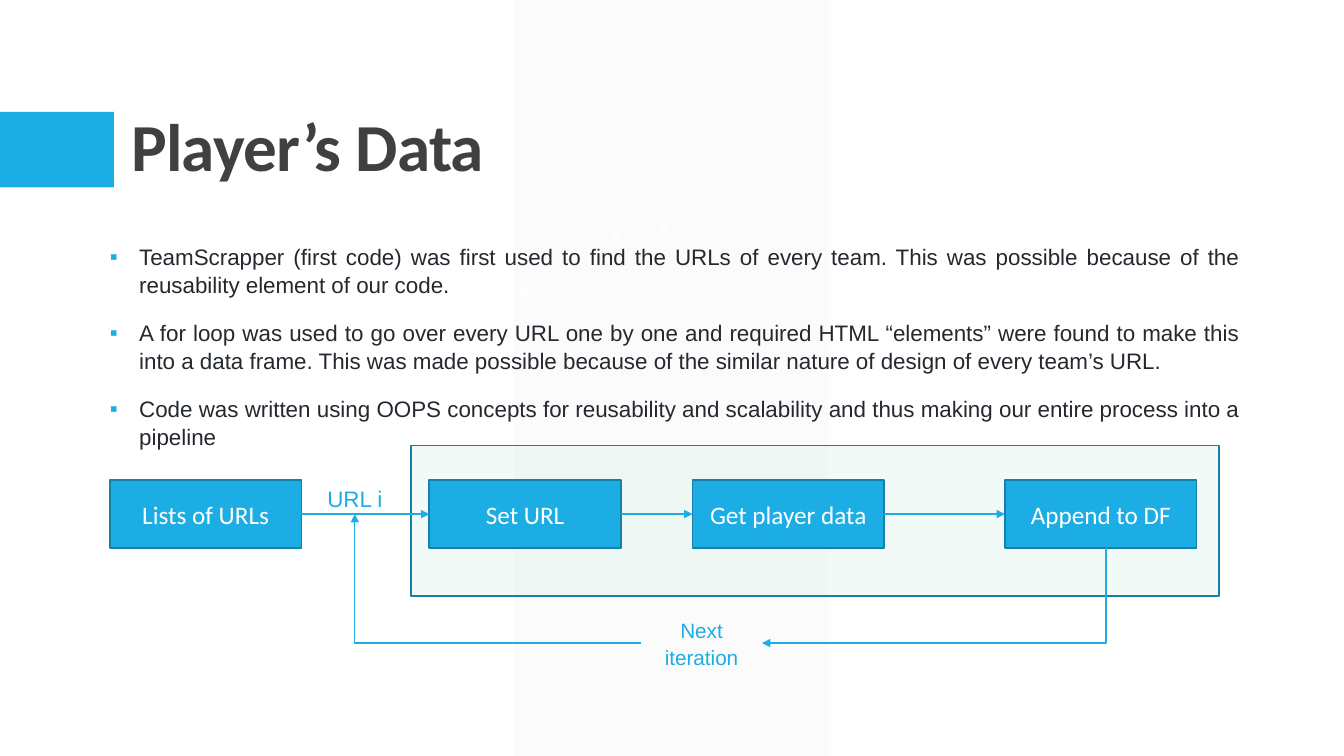
from itertools import pairwise

from lxml.etree import SubElement
from pptx import Presentation
from pptx.dml.color import RGBColor
from pptx.enum.shapes import MSO_CONNECTOR, MSO_SHAPE
from pptx.enum.text import MSO_ANCHOR, MSO_AUTO_SIZE, PP_ALIGN
from pptx.oxml.ns import qn
from pptx.util import Inches, Pt

W, H = Inches(13.333), Inches(7.5)
COLORS = {
    "accent": "1CADE4", "outline": "1580A9", "frame": "D9F1EA",
    "band": "F2F2F2", "white": "FFFFFF", "title": "404040", "body": "24292F",
}
BULLETS = [
    "TeamScrapper (first code) was first used to find the URLs of every team. "
    "This was possible because of the reusability element of our code.",
    "A for loop was used to go over every URL one by one and required HTML “elements” "
    "were found to make this into a data frame. This was made possible because of the "
    "similar nature of design of every team’s URL.",
    "Code was written using OOPS concepts for reusability and scalability and thus "
    "making our entire process into a pipeline",
]
# Positions and sizes below are percentages of the slide's width and height
STEPS = {"Lists of URLs": 8.18, "Set URL": 31.95, "Get player data": 51.53, "Append to DF": 74.78}
STEP_W, STEP_H, STEP_MID = 14.25, 8.93, 68
LOOP_Y, LOOP_ENTRY, LOOP_EXIT = 85.07, 26.4, 82.28
LABEL_W, LABEL_H = 9, 5.87
NEXT_X = 47.7
DOTS = [(45.53, 30.53), (49.13, 29.73), (38.7, 38), (57.45, 33.6), (49.88, 83.2)]

PARAGRAPH = {"line_spacing": 1.05, "space_before": Pt(12), "space_after": Pt(2)}


def scale(x, y):
    return round(W * x / 100), round(H * y / 100)


def rgb(name):
    return RGBColor.from_string(COLORS[name])


def apply(obj, formats):
    for name, value in formats.items():
        setattr(obj, name, value)


def place(sp, x, y, w, h):
    sp.left, sp.top = scale(x, y)
    sp.width, sp.height = scale(w, h)


def write(p, text, font, size, color, formats, bold=False):
    apply(p, formats)
    r = p.add_run()
    r.text = text
    apply(r.font, {"name": font, "size": Pt(size), "bold": bold})
    r.font.color.rgb = rgb(color)
    return r


def add_box(slide, x, y, w, h, fill, alpha=None, line=None, kind=MSO_SHAPE.RECTANGLE):
    sp = slide.shapes.add_shape(kind, *scale(x, y), *scale(w, h))
    sp.shadow.inherit = False
    sp.fill.solid()
    sp.fill.fore_color.rgb = rgb(fill)
    if alpha:
        clr = sp.element.spPr.find(qn("a:solidFill"))[0]
        SubElement(clr, qn("a:alpha"), val=str(alpha * 1000))
    if line:
        sp.line.color.rgb = rgb(line)
        sp.line.width = Pt(1.25)
    else:
        sp.line.fill.background()
    return sp


def add_step(slide, x, text):
    sp = add_box(slide, x, STEP_MID - STEP_H / 2, STEP_W, STEP_H, "accent", line="outline")
    tf = sp.text_frame
    tf.vertical_anchor = MSO_ANCHOR.MIDDLE
    write(tf.paragraphs[0], text, "Calibri", 18, "white", {"alignment": PP_ALIGN.CENTER})


def add_arrow(slide, start, end, bent=False, tip="a:tailEnd"):
    """A bent arrow leaves its start horizontally and reaches its end vertically."""
    kind = MSO_CONNECTOR.ELBOW if bent else MSO_CONNECTOR.STRAIGHT
    cxn = slide.shapes.add_connector(kind, *scale(*start), *scale(*end))
    cxn.line.color.rgb = rgb("accent")
    cxn.line.width = Pt(1)
    spPr = cxn.element.spPr
    if bent:
        spPr.find(qn("a:prstGeom")).set("prst", "bentConnector2")
    SubElement(spPr.find(qn("a:ln")), qn(tip), type="triangle")
    SubElement(spPr, qn("a:effectLst"))


def add_label(slide, x, mid, text, size):
    sp = slide.shapes.add_textbox(*scale(x, mid - LABEL_H / 2), *scale(LABEL_W, LABEL_H))
    tf = sp.text_frame
    apply(tf, {"word_wrap": True, "vertical_anchor": MSO_ANCHOR.MIDDLE,
               "margin_left": 0, "margin_right": 0})
    write(tf.paragraphs[0], text, "Arial", size, "accent",
          PARAGRAPH | {"alignment": PP_ALIGN.CENTER})


def set_bullet(p):
    pPr = p._p.get_or_add_pPr()
    pPr.set("marL", str(Inches(0.29)))
    pPr.set("indent", str(-Inches(0.29)))
    clr = SubElement(pPr, qn("a:buClr"))
    SubElement(clr, qn("a:srgbClr"), val=COLORS["accent"])
    SubElement(pPr, qn("a:buFont"), typeface="Arial")
    SubElement(pPr, qn("a:buChar"), char="▪")


def fill_title(title):
    place(title, 9, 4.13, 82.5, 21.2)
    tf = title.text_frame
    apply(tf, {"vertical_anchor": MSO_ANCHOR.BOTTOM, "auto_size": MSO_AUTO_SIZE.NONE})
    r = write(tf.paragraphs[0], "Player’s Data", "Calibri", 48, "title",
              {"alignment": PP_ALIGN.LEFT, "line_spacing": 0.9}, bold=True)
    r.font._element.set("spc", "-50")


def fill_body(body):
    place(body, 8.18, 31.33, 84.08, 26.93)
    tf = body.text_frame
    apply(tf, {"margin_left": 0, "margin_right": 0, "auto_size": MSO_AUTO_SIZE.NONE})
    for i, text in enumerate(BULLETS):
        p = tf.add_paragraph() if i else tf.paragraphs[0]
        write(p, text, "Arial", 16, "body", PARAGRAPH | {"alignment": PP_ALIGN.JUSTIFY})
        set_bullet(p)


def add_background(slide):
    """Decoration that lies behind the title and the list."""
    shapes = [
        add_box(slide, 38.25, 0, 23.4, 100, "band", alpha=30),
        add_box(slide, 0, 14.8, 8.48, 10, "accent"),
        add_box(slide, 30.6, 58.93, 60.08, 19.87, "frame", alpha=34, line="outline"),
    ]
    shapes += [add_box(slide, x, y, 0.75, 1.33, "white", alpha=50, kind=MSO_SHAPE.OVAL)
               for x, y in DOTS]
    for sp in shapes:
        slide.shapes.title.element.addprevious(sp.element)


def add_pipeline(slide):
    for text, x in STEPS.items():
        add_step(slide, x, text)
    for x, next_x in pairwise(STEPS.values()):
        add_arrow(slide, (x + STEP_W, STEP_MID), (next_x, STEP_MID))
    add_arrow(slide, (NEXT_X + LABEL_W, LOOP_Y), (LOOP_EXIT, STEP_MID + STEP_H / 2),
              bent=True, tip="a:headEnd")
    add_arrow(slide, (NEXT_X, LOOP_Y), (LOOP_ENTRY, STEP_MID), bent=True)
    add_label(slide, NEXT_X, LOOP_Y, "Next iteration", 14.8)
    add_label(slide, LOOP_ENTRY - LABEL_W / 2, 65.87, "URL i", 16)


def main():
    prs = Presentation()
    prs.slide_width, prs.slide_height = W, H
    slide = prs.slides.add_slide(prs.slide_layouts[1])
    add_background(slide)
    fill_title(slide.shapes.title)
    fill_body(slide.placeholders[1])
    add_pipeline(slide)
    prs.save("out.pptx")


if __name__ == "__main__":
    main()
